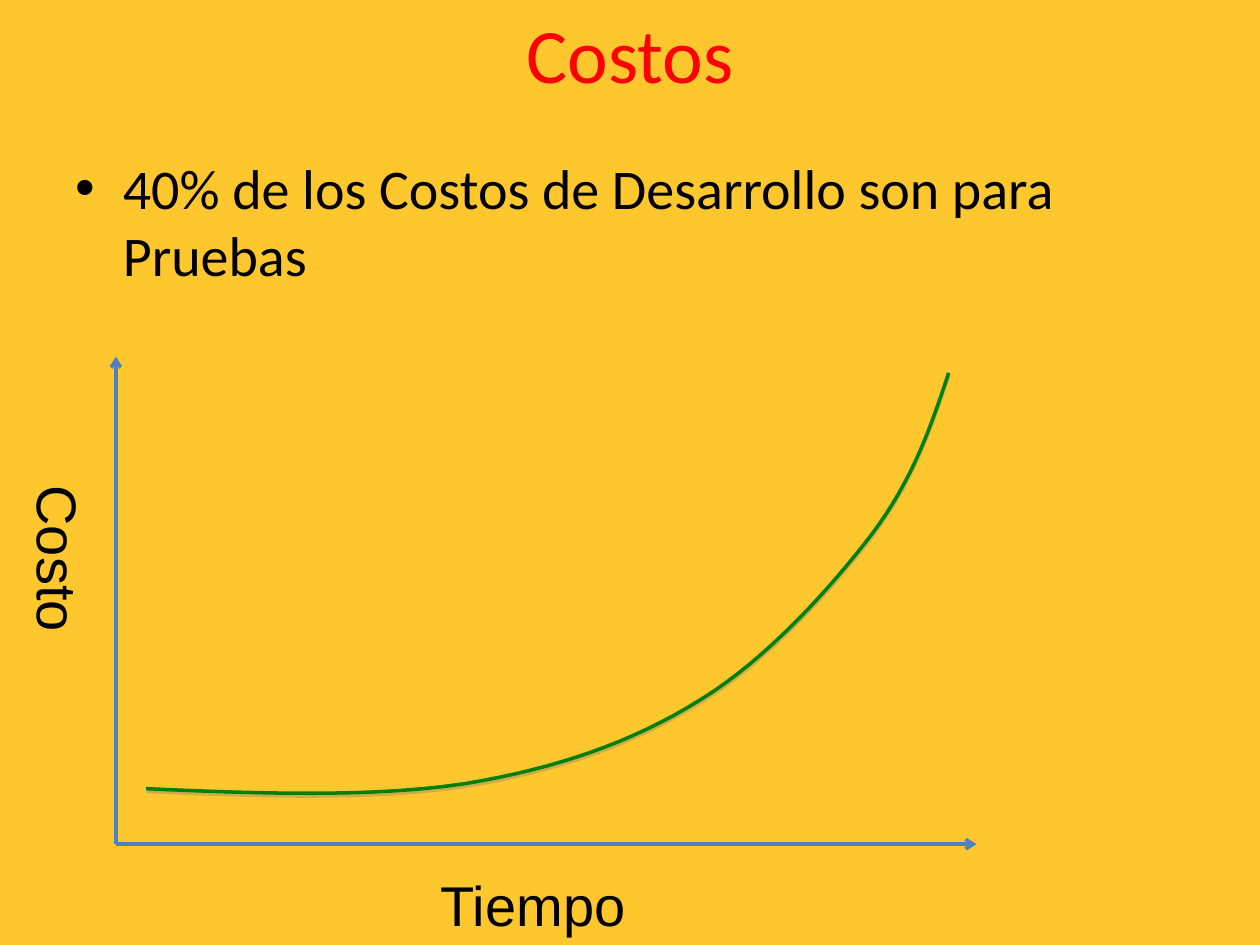
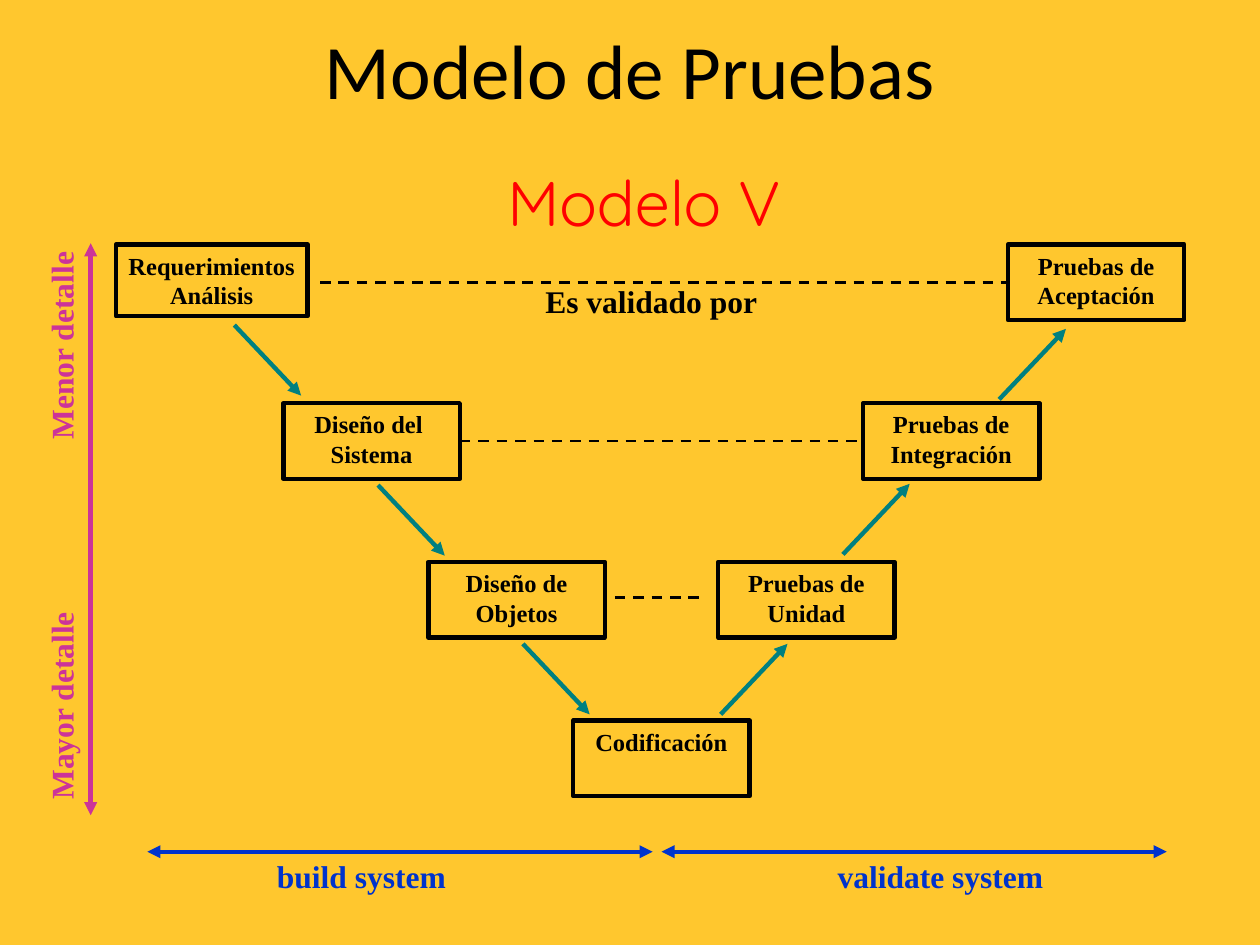
from dataclasses import dataclass
from typing import NamedTuple, Optional

from lxml import etree
from pptx import Presentation
from pptx.dml.color import RGBColor
from pptx.enum.dml import MSO_LINE
from pptx.enum.shapes import MSO_CONNECTOR, MSO_SHAPE
from pptx.enum.text import MSO_ANCHOR, MSO_AUTO_SIZE, PP_ALIGN
from pptx.oxml.ns import qn
from pptx.util import Pt

PX = 9144  # EMU per px, 100 px to the inch
STRAIGHT = MSO_CONNECTOR.STRAIGHT
RECTANGLE = MSO_SHAPE.RECTANGLE
DASH = MSO_LINE.DASH
LEFT, CENTER = PP_ALIGN.LEFT, PP_ALIGN.CENTER
TOP, MIDDLE = MSO_ANCHOR.TOP, MSO_ANCHOR.MIDDLE
NO_FIT = MSO_AUTO_SIZE.NONE
LEFT_SIDE, RIGHT_SIDE = 1, 3


@dataclass(frozen=True)
class Theme:
    background: str = "FFC72E"
    ink: str = "000000"
    accent: str = "FF0000"
    axis: str = "4F81BD"
    curve: str = "008000"
    shadow: str = "808080"
    step: str = "008080"
    detail: str = "CC3399"
    phase: str = "0033CC"
    title_font: str = "Calibri"
    axis_font: str = "Arial"
    subtitle_font: str = "Quicksand"
    diagram_font: str = "Times New Roman"
    title_size: int = 44
    subtitle_size: int = 36
    body_size: int = 32
    label_size: int = 18
    box_size: int = 14


THEME = Theme()


class Area(NamedTuple):
    left: int
    top: int
    width: int
    height: int

    def emu(self) -> list[int]:
        return [value * PX for value in self]


class Label(NamedTuple):
    text: str
    area: Area
    color: str
    rotation: int = 0


class Line(NamedTuple):
    start: tuple[int, int]
    end: tuple[int, int]
    color: str
    width: float = 2.5
    head: Optional[str] = None
    tail: Optional[str] = None
    dashed: bool = False


AXES = [
    Line((92, 670), (92, 283), THEME.axis, 2, tail="arrow"),
    Line((92, 670), (775, 670), THEME.axis, 2, tail="arrow"),
]
AXIS_LABELS = [
    Label("Costo", Area(-40, 430, 173, 64), THEME.ink, 90),
    Label("Tiempo", Area(340, 686, 231, 64), THEME.ink),
]
CURVE_START = (116, 626)
CURVE_BENDS = [
    ((206, 630), (296, 633), (369, 622)),
    ((442, 610), (502, 589), (555, 556)),
    ((609, 523), (659, 467), (692, 424)),
    ((725, 380), (739, 338), (753, 296)),
]
STAGES = [
    "Requerimientos\nAnálisis", "Diseño del \nSistema", "Diseño de\nObjetos",
    "Codificación",
    "Pruebas de\nUnidad", "Pruebas de\nIntegración", "Pruebas de\nAceptación",
]
FIRST_STAGE = Area(92, 194, 152, 57)
DESCENT_STARTS = [(186, 258), (300, 385), (415, 511)]
ASCENT_STARTS = [(572, 567), (669, 440), (793, 317)]
STEP_RUN, STEP_RISE = 53, 56
SPANS = [
    Line((72, 193), (72, 647), THEME.detail, head="triangle", tail="triangle"),
    Line((117, 676), (518, 676), THEME.phase, head="triangle", tail="triangle"),
    Line((525, 676), (926, 676), THEME.phase, head="triangle", tail="triangle"),
]
MODEL_LABELS = [
    Label("Menor detalle", Area(-36, 254, 169, 40), THEME.detail, 270),
    Label("Mayor detalle", Area(-36, 540, 169, 40), THEME.detail, 270),
    Label("build system", Area(210, 675, 154, 40), THEME.phase),
    Label("validate system", Area(655, 675, 183, 40), THEME.phase),
    Label("Es validado por", Area(423, 219, 188, 40), THEME.ink),
]


def write(frame, text: str, *, font: str, size: int, color: str = THEME.ink,
          bold: bool = False, align=LEFT, anchor=TOP, wrap: bool = True) -> None:
    """Fill a text frame, one paragraph for each line of text."""
    frame.text = text
    frame.auto_size = NO_FIT
    frame.word_wrap = wrap
    frame.vertical_anchor = anchor
    for para in frame.paragraphs:
        para.alignment = align
        para.space_before = Pt(0)
        for span in para.runs:
            span.font.name = font
            span.font.size = Pt(size)
            span.font.bold = bold
            span.font.color.rgb = RGBColor.from_string(color)


def place(shape, area: Area) -> None:
    shape.left, shape.top, shape.width, shape.height = area.emu()


def add_page(deck, layout: int, title: str, area: Area, color: str):
    page = deck.slides.add_slide(deck.slide_layouts[layout])
    place(page.shapes.title, area)
    write(page.shapes.title.text_frame, title, font=THEME.title_font,
          size=THEME.title_size, color=color, align=CENTER, anchor=MIDDLE)
    return page


def add_label(page, label: Label, **text_format) -> None:
    box = page.shapes.add_textbox(*label.area.emu())
    box.rotation = label.rotation
    write(box.text_frame, label.text, color=label.color, **text_format)


def add_line(page, line: Line):
    connector = page.shapes.add_connector(
        STRAIGHT, *(value * PX for value in line.start + line.end))
    connector.line.color.rgb = RGBColor.from_string(line.color)
    connector.line.width = Pt(line.width)
    if line.dashed:
        connector.line.dash_style = DASH
    properties = connector.element.spPr
    outline = properties.find(qn("a:ln"))
    for tag, kind in (("a:headEnd", line.head), ("a:tailEnd", line.tail)):
        if kind:
            etree.SubElement(outline, qn(tag), type=kind)
    etree.SubElement(properties, qn("a:effectLst"))
    return connector


def curve_points(steps: int = 16) -> list[tuple[int, int]]:
    """Sample the cubic bends of the cost curve, in EMU."""
    points = []
    start = CURVE_START
    for first, second, end in CURVE_BENDS:
        for step in range(1, steps + 1):
            t = step / steps
            u = 1 - t
            points.append(tuple(
                round(PX * (u**3 * a + 3 * u * u * t * b + 3 * u * t * t * c + t**3 * d))
                for a, b, c, d in zip(start, first, second, end)))
        start = end
    return points


def add_cost_curve(page) -> None:
    builder = page.shapes.build_freeform(*(value * PX for value in CURVE_START))
    builder.add_line_segments(curve_points(), close=False)
    curve = builder.convert_to_shape()
    curve.fill.background()
    curve.line.color.rgb = RGBColor.from_string(THEME.curve)
    curve.line.width = Pt(2)
    curve.shadow.inherit = False
    effects = curve.element.spPr.find(qn("a:effectLst"))
    shadow = etree.SubElement(effects, qn("a:outerShdw"), blurRad="0",
                              dist=str(int(Pt(1.6))), dir="5400000", rotWithShape="0")
    color = etree.SubElement(shadow, qn("a:srgbClr"), val=THEME.shadow)
    etree.SubElement(color, qn("a:alpha"), val="38000")


def add_stage(page, text: str, area: Area):
    box = page.shapes.add_shape(RECTANGLE, *area.emu())
    box.shadow.inherit = False
    box.fill.background()
    box.line.color.rgb = RGBColor.from_string(THEME.ink)
    box.line.width = Pt(2.5)
    write(box.text_frame, text, font=THEME.diagram_font, size=THEME.box_size,
          bold=True, align=CENTER, wrap=False)
    return box


def stage_area(index: int) -> Area:
    """Place a stage on the V: even steps across, down to the middle and up."""
    if index == 0:
        return FIRST_STAGE
    bottom = len(STAGES) // 2
    level = bottom - abs(bottom - index)
    return Area(110 + 115 * index, 194 + 126 * level, 140, 60)


def add_costs_page(deck) -> None:
    page = add_page(deck, 1, "Costos", Area(0, 0, 1000, 83), THEME.accent)
    body = page.placeholders[1]
    place(body, Area(50, 117, 900, 495))
    write(body.text_frame, "40% de los Costos de Desarrollo son para Pruebas",
          font=THEME.title_font, size=THEME.body_size)
    for axis in AXES:
        add_line(page, axis)
    add_cost_curve(page)
    for label in AXIS_LABELS:
        add_label(page, label, font=THEME.axis_font, size=THEME.body_size)


def add_model_page(deck) -> None:
    page = add_page(deck, 5, "Modelo de Pruebas", Area(0, -8, 1000, 125), THEME.ink)
    add_label(page, Label("Modelo V", Area(42, 125, 938, 70), THEME.accent),
              font=THEME.subtitle_font, size=THEME.subtitle_size,
              align=CENTER, anchor=MIDDLE)
    boxes = [add_stage(page, text, stage_area(index))
             for index, text in enumerate(STAGES)]

    for starts, rise in ((DESCENT_STARTS, STEP_RISE), (ASCENT_STARTS, -STEP_RISE)):
        for x, y in starts:
            add_line(page, Line((x, y), (x + STEP_RUN, y + rise), THEME.step,
                                tail="triangle"))

    add_line(page, Line((488, 474), (561, 474), THEME.ink, 1.5, dashed=True))
    system = add_line(page, Line((366, 350), (685, 350), THEME.ink, 1.5, dashed=True))
    system.begin_connect(boxes[1], RIGHT_SIDE)
    system.end_connect(boxes[5], LEFT_SIDE)
    analysis = add_line(page, Line((254, 224), (800, 224), THEME.ink, 1.5, dashed=True))
    analysis.end_connect(boxes[6], LEFT_SIDE)

    for span in SPANS:
        add_line(page, span)
    for label in MODEL_LABELS:
        add_label(page, label, font=THEME.diagram_font, size=THEME.label_size,
                  bold=True, wrap=False)


def main() -> None:
    deck = Presentation()
    deck.slide_width, deck.slide_height = 1000 * PX, 750 * PX
    fill = deck.slide_master.background.fill
    fill.solid()
    fill.fore_color.rgb = RGBColor.from_string(THEME.background)
    add_costs_page(deck)
    add_model_page(deck)
    deck.save("out.pptx")


if __name__ == "__main__":
    main()
